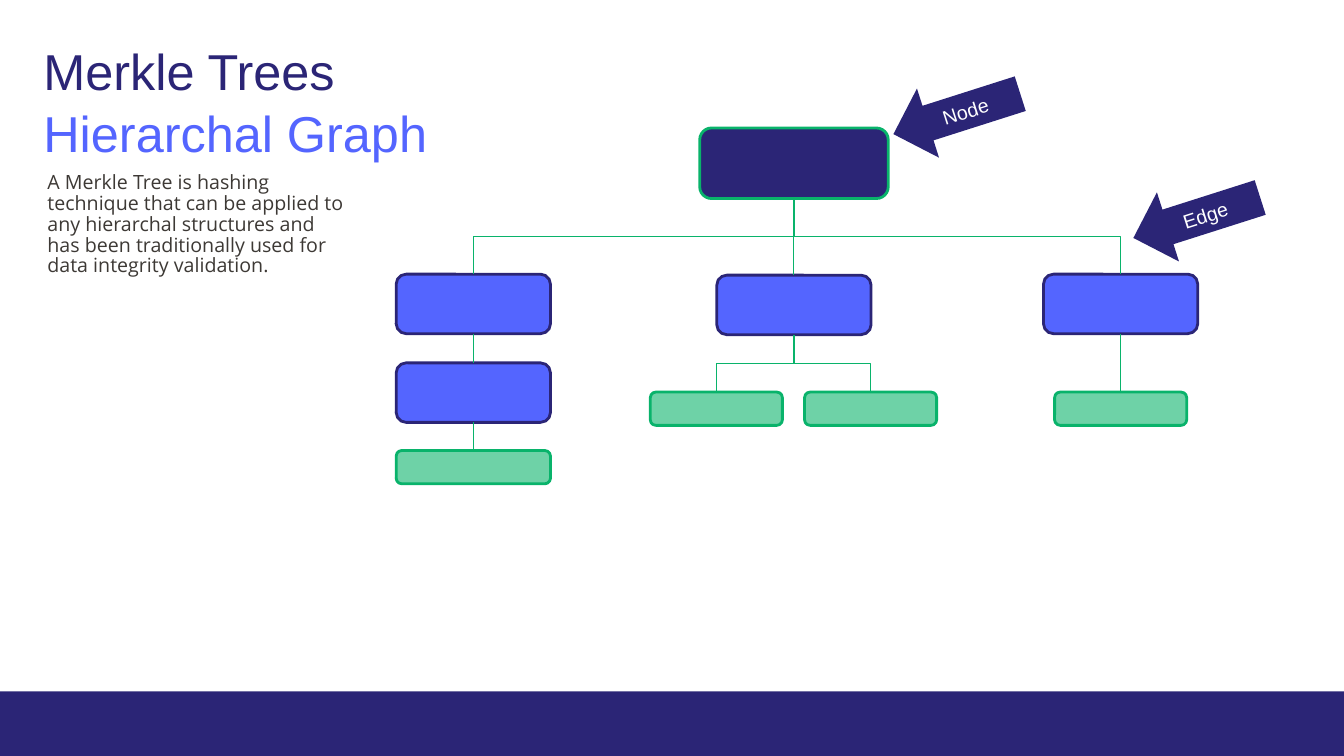
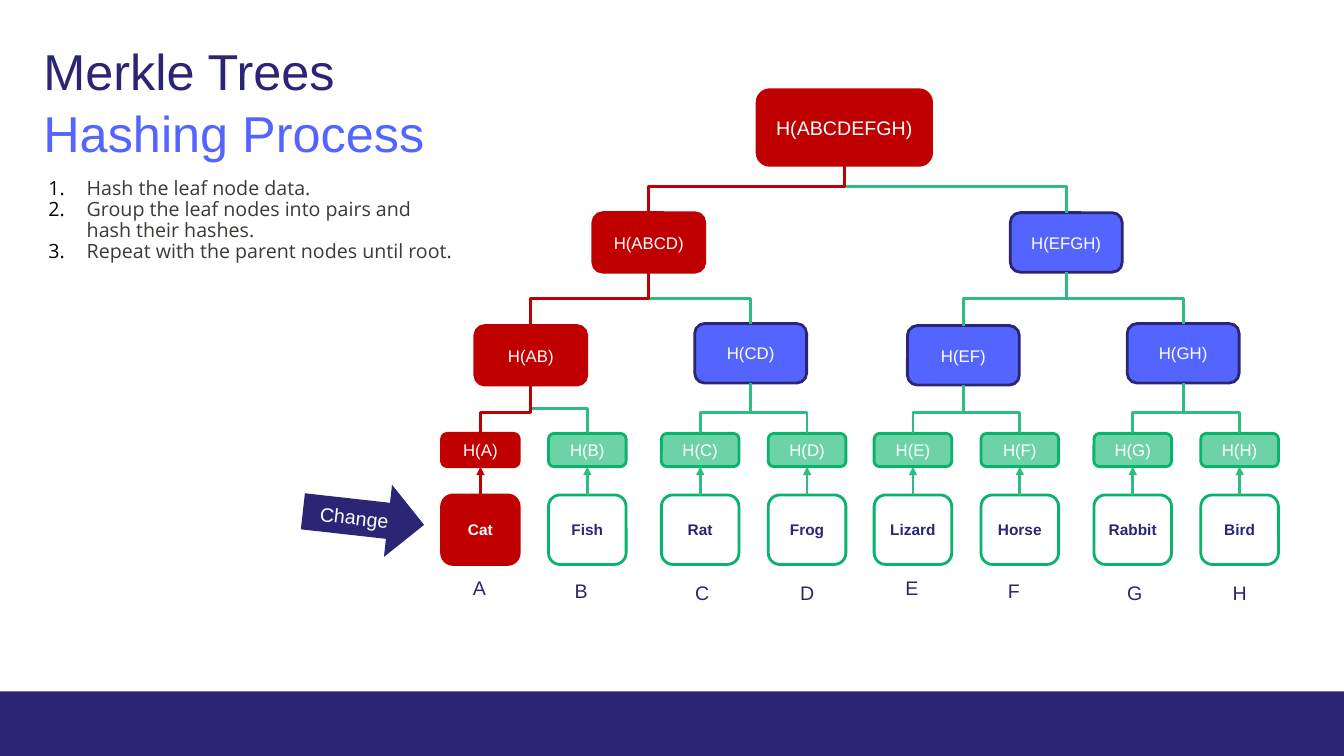
from dataclasses import dataclass
from typing import Optional

from lxml.etree import SubElement as Sub
from pptx import Presentation
from pptx.dml.color import RGBColor
from pptx.enum.shapes import MSO_CONNECTOR as Link, MSO_SHAPE as Form
from pptx.enum.text import MSO_ANCHOR as Anchor, MSO_AUTO_SIZE as Fit, PP_ALIGN as Align
from pptx.oxml.ns import qn
from pptx.util import Emu, Pt

# Shared look
NAVY = RGBColor(0x2B, 0x25, 0x76)
BLUE = RGBColor(0x54, 0x65, 0xFF)
GREEN = RGBColor(0x09, 0xB3, 0x6B)
MINT = RGBColor(0x2E, 0xBC, 0x81)
RED = RGBColor(0xC0, 0x00, 0x00)
GREY = RGBColor(0x3D, 0x39, 0x35)
BLACK = RGBColor(0, 0, 0)
WHITE = RGBColor(0xFF, 0xFF, 0xFF)
HEAD, BODY = "Arial", "Open Sans"
UNIT = 9144  # EMU in one px, 100 px to the inch
WIDE, HIGH = 1333, 750


@dataclass(frozen=True)
class Look:
    fill: RGBColor
    line: RGBColor
    ink: RGBColor = WHITE
    size: int = 12
    bold: bool = False
    clear: bool = False


@dataclass(frozen=True)
class Node:
    text: str
    x: int
    y: int
    w: int
    h: int
    look: Look


@dataclass(frozen=True)
class Arrow:
    text: str
    x: int
    y: int
    w: int
    turn: float
    form: Form = Form.LEFT_ARROW


ROOT = Look(NAVY, GREEN)
INNER = Look(BLUE, NAVY)
HASH = Look(GREEN, GREEN, clear=True)
LEAF = Look(WHITE, GREEN, NAVY, 11, True, True)
HOT = Look(RED, RED)
HOT_TOP = Look(RED, RED, size=14)
HOT_LEAF = Look(RED, RED, size=11, bold=True)


def px(n: float) -> Emu:
    return Emu(round(n * UNIT))


def place(shape, x: int, y: int, w: int, h: int) -> None:
    shape.left, shape.top, shape.width, shape.height = map(px, (x, y, w, h))


def add_run(para, text: str, size: int, ink: RGBColor, face: str = HEAD, bold: bool = False) -> None:
    run = para.add_run()
    run.text = text
    font = run.font
    font.name, font.size, font.bold = face, Pt(size), bold
    font.color.rgb = ink


def add_form(slide, form: Form, x: int, y: int, w: int, h: int, fill: RGBColor):
    shape = slide.shapes.add_shape(form, px(x), px(y), px(w), px(h))
    shape.shadow.inherit = False
    shape.fill.solid()
    shape.fill.fore_color.rgb = fill
    shape.line.fill.background()
    return shape


def write_mid(shape, text: str, size: int, ink: RGBColor, bold: bool = False) -> None:
    frame = shape.text_frame
    frame.word_wrap = True
    frame.vertical_anchor = Anchor.MIDDLE
    frame.margin_left = frame.margin_right = 0
    para = frame.paragraphs[0]
    para.alignment = Align.CENTER
    add_run(para, text, size, ink, bold=bold)


def add_node(slide, node: Node):
    look = node.look
    shape = add_form(slide, Form.ROUNDED_RECTANGLE, node.x, node.y, node.w, node.h, look.fill)
    if look.clear:
        tint = shape.element.spPr.find(".//" + qn("a:srgbClr"))
        Sub(tint, qn("a:alpha"), val="59000")
    shape.line.color.rgb = look.line
    shape.line.width = Pt(2)
    if node.text:
        write_mid(shape, node.text, look.size, look.ink, look.bold)
    return shape


def add_arrow(slide, arrow: Arrow) -> None:
    shape = add_form(slide, arrow.form, arrow.x, arrow.y, arrow.w, 72, NAVY)
    shape.rotation = arrow.turn
    write_mid(shape, arrow.text, 14, WHITE)


def style_link(link, ink: RGBColor, width: float, tip: bool = False) -> None:
    link.line.color.rgb = ink
    link.line.width = Pt(width)
    props = link.element.spPr
    if tip:
        Sub(props.find(qn("a:ln")), qn("a:tailEnd"), type="triangle")
    Sub(props, qn("a:effectLst"))


def add_line(slide, start, end, sides: tuple[int, int], ink: RGBColor, width: float,
             tip: bool = False) -> None:
    link = slide.shapes.add_connector(Link.STRAIGHT, 0, 0, 0, 0)
    link.begin_connect(start, sides[0])
    link.end_connect(end, sides[1])
    style_link(link, ink, width, tip)


def add_bend(slide, above, below, ink: RGBColor, width: float, bar: Optional[int] = None) -> None:
    """Go down from one node to another, turning at height bar (halfway if none)."""
    x1, y1 = above.left + above.width // 2, above.top + above.height
    x2, y2 = below.left + below.width // 2, below.top
    drop, span = y2 - y1, abs(x2 - x1)
    left, top = (x1 + x2 - drop) // 2, (y1 + y2 - span) // 2
    link = slide.shapes.add_connector(Link.ELBOW, left, top, left + drop, top + span)
    frame = link.element.spPr.find(qn("a:xfrm"))
    if x2 < x1:
        frame.set("rot", "5400000")
    else:
        frame.set("rot", "16200000")
        frame.set("flipH", "1")
    part = 0.5 if bar is None else (px(bar) - y1) / drop
    stops = link.element.spPr.find(".//" + qn("a:avLst"))
    Sub(stops, qn("a:gd"), name="adj1", fmla=f"val {round(part * 100000)}")
    style_link(link, ink, width)


def add_label(slide, text: str, x: int, y: int) -> None:
    box = slide.shapes.add_textbox(px(x), px(y), px(131), px(34))
    frame = box.text_frame
    frame.word_wrap = True
    frame.auto_size = Fit.SHAPE_TO_FIT_TEXT
    para = frame.paragraphs[0]
    para.alignment = Align.CENTER
    add_run(para, text, 14, NAVY)


def set_title(slide, topic: str) -> None:
    title = slide.shapes.title
    place(title, 33, 34, 408, 131)
    frame = title.text_frame
    frame.vertical_anchor = Anchor.MIDDLE
    frame.auto_size = Fit.NONE
    para = frame.paragraphs[0]
    para.alignment = Align.LEFT
    para.line_spacing = 1.03
    add_run(para, "Merkle Trees", 36, NAVY)
    para.add_line_break()
    add_run(para, topic, 36, BLUE)


def set_body(slide, lines: list[str], area: tuple[int, int, int, int], count: bool = False) -> None:
    body = slide.placeholders[1]
    place(body, *area)
    frame = body.text_frame
    frame.auto_size = Fit.NONE
    for i, line in enumerate(lines):
        para = frame.add_paragraph() if i else frame.paragraphs[0]
        para.line_spacing = 0.88
        para.space_before = Pt(0)
        props = para._p.get_or_add_pPr()
        dent = px(38) if count else 0
        props.set("marL", str(dent))
        props.set("indent", str(-dent))
        if count:
            Sub(Sub(props, qn("a:buClr")), qn("a:srgbClr"), val=str(BLACK))
            Sub(props, qn("a:buFont"), typeface=BODY)
            Sub(props, qn("a:buAutoNum"), type="arabicPeriod")
        else:
            Sub(props, qn("a:buNone"))
        add_run(para, line, 14, GREY, BODY)


def add_band(slide) -> None:
    """Put the foot band on the layout, behind everything."""
    band = add_form(slide, Form.RECTANGLE, 0, 686, WIDE, 64, NAVY).element
    band.nvSpPr.cNvPr.set("id", "99")
    slide.slide_layout.shapes.element.insert(2, band)


def draw_graph(slide) -> None:
    set_title(slide, "Hierarchal Graph")
    set_body(slide, ["A Merkle Tree is hashing technique that can be applied to any hierarchal "
                     "structures and has been traditionally used for data integrity validation."],
             (37, 167, 317, 199))

    # Nodes
    root = add_node(slide, Node("", 694, 127, 187, 70, ROOT))
    west, mid, east, lower = [add_node(slide, Node("", x, y, 153, 59, INNER))
                              for x, y in ((393, 272), (711, 273), (1035, 272), (393, 360))]
    base, left, right, last = [add_node(slide, Node("", x, y, w, 33, HASH))
                               for x, y, w in ((393, 447, 153), (645, 389, 131),
                                               (798, 389, 131), (1046, 389, 131))]

    # Edges
    for above, below in ((root, west), (root, east), (mid, left), (mid, right)):
        add_bend(slide, above, below, GREEN, 0.75)
    for above, below in ((root, mid), (west, lower), (lower, base), (east, last)):
        add_line(slide, above, below, (2, 0), GREEN, 0.75)

    # Callouts
    for arrow in (Arrow("Node", 883, 77, 132, 342.3), Arrow("Edge", 1121, 180, 132, 342.3)):
        add_arrow(slide, arrow)


def draw_hashing(slide) -> None:
    set_title(slide, "Hashing Process")
    set_body(slide, ["Hash the leaf node data.",
                     "Group the leaf nodes into pairs and hash their hashes.",
                     "Repeat with the parent nodes until root."],
             (38, 173, 422, 104), count=True)

    # Upper nodes
    shift = 429  # from the left half of the tree to the right half
    made = {}
    for name, x, y, w, h, look in (
            ("ABCDEFGH", 751, 89, 173, 75, HOT_TOP),
            ("ABCD", 588, 211, 111, 59, HOT), ("EFGH", 1002, 211, 111, 59, INNER),
            ("AB", 471, 323, 111, 59, HOT), ("CD", 689, 321, 111, 59, INNER),
            ("EF", 471 + shift, 323, 111, 59, INNER), ("GH", 689 + shift, 321, 111, 59, INNER)):
        made[name] = add_node(slide, Node(f"H({name})", x, y, w, h, look))

    # Leaves, their hashes and letters
    slots = ((438, 410, 566), (544, 511, 569), (656, 631, 571), (762, 735, 571))
    pets = ("Cat", "Fish", "Rat", "Frog", "Lizard", "Horse", "Rabbit", "Bird")
    for i, (name, pet) in enumerate(zip("ABCDEFGH", pets)):
        half, slot = divmod(i, len(slots))
        x, tag, y = slots[slot]
        move, hot = half * shift, name == "A"
        leaf = add_node(slide, Node(pet, x + move, 491, 77, 69, HOT_LEAF if hot else LEAF))
        made[name] = add_node(slide, Node(f"H({name})", x + move, 430, 77, 33, HOT if hot else HASH))
        add_line(slide, leaf, made[name], (0, 2), RED if hot else MINT, 2, tip=True)
        add_label(slide, name, tag + move, y)

    # Branches, the changed path on top
    names = [name for name in made if name != "ABCDEFGH"]
    bars = {4: 185, 2: 296, 1: 409}
    for name in sorted(names, key=lambda n: n.startswith("A")):
        above = next(n for n in made if len(n) == 2 * len(name) and name in n)
        bar = 405 if name == "B" else bars[len(name)]
        add_bend(slide, made[above], made[name], RED if name.startswith("A") else MINT, 2, bar)

    add_arrow(slide, Arrow("Change", 300, 478, 121, 6.4, Form.RIGHT_ARROW))


def main() -> None:
    deck = Presentation()
    deck.slide_width, deck.slide_height = px(WIDE), px(HIGH)
    layout = deck.slide_layouts[1]
    graph, hashing = [deck.slides.add_slide(layout) for _ in range(2)]
    add_band(graph)
    draw_graph(graph)
    draw_hashing(hashing)
    deck.save("out.pptx")


if __name__ == "__main__":
    main()
